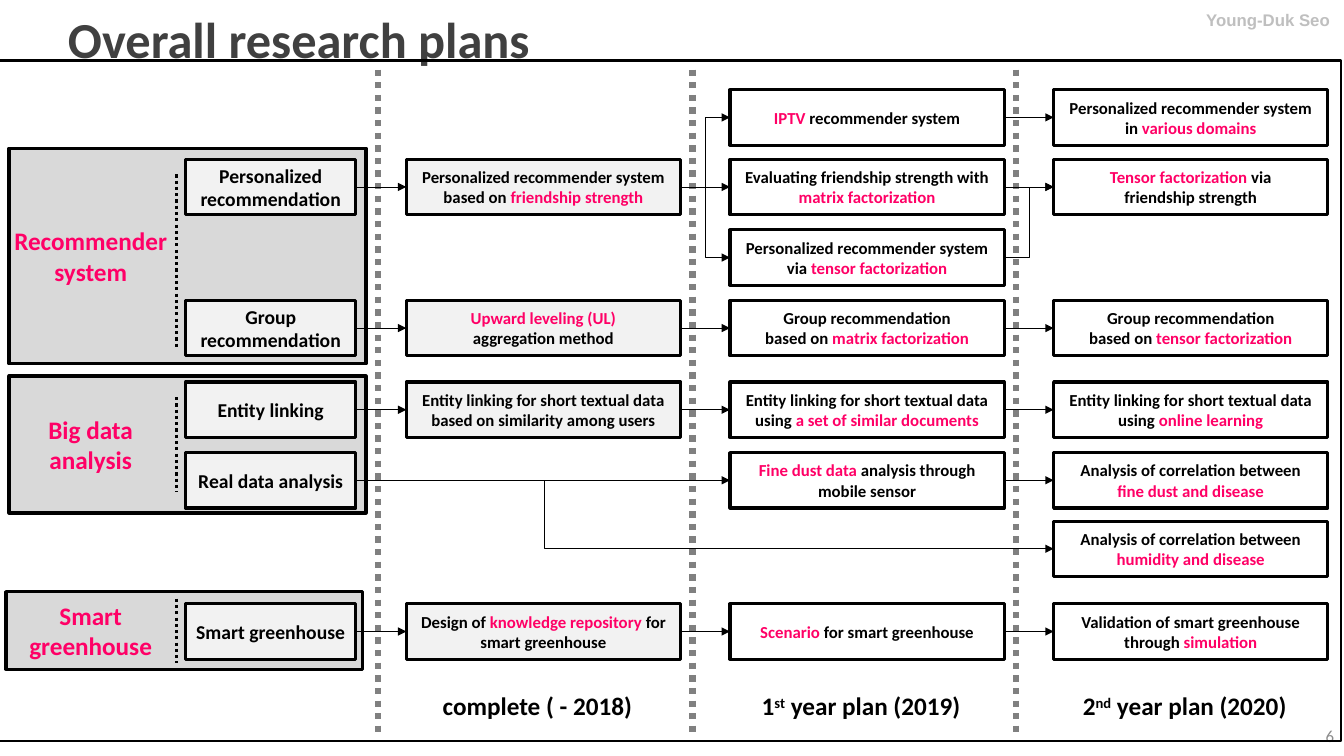
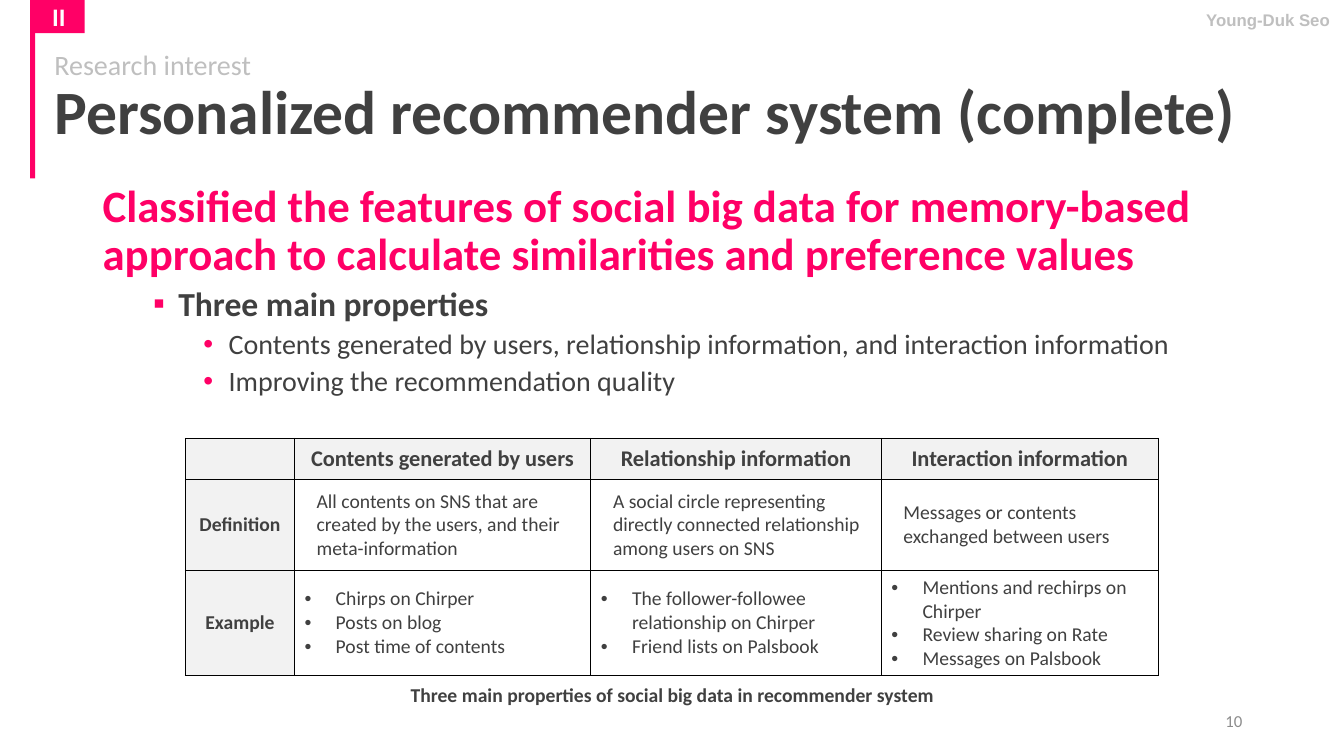
"""Builds two slides of a research plan: the roadmap and one finished topic."""
from itertools import pairwise

from lxml.etree import SubElement
from pptx import Presentation
from pptx.dml.color import RGBColor
from pptx.enum.dml import MSO_LINE
from pptx.enum.shapes import MSO_CONNECTOR, MSO_SHAPE
from pptx.enum.text import MSO_ANCHOR, PP_ALIGN
from pptx.oxml import parse_xml
from pptx.oxml.ns import nsdecls, qn
from pptx.util import Inches, Pt

PINK = RGBColor(0xFF, 0x00, 0x66)
BLACK = RGBColor(0x00, 0x00, 0x00)
WHITE = RGBColor(0xFF, 0xFF, 0xFF)
DARK = RGBColor(0x40, 0x40, 0x40)
MID = RGBColor(0x80, 0x80, 0x80)
NUMBER_GRAY = RGBColor(0x8C, 0x8C, 0x8C)
SILVER = RGBColor(0xBF, 0xBF, 0xBF)
PANEL_GRAY = RGBColor(0xD9, 0xD9, 0xD9)
PALE = RGBColor(0xF2, 0xF2, 0xF2)

AUTHOR = "Young-Duk Seo"
BOX_HEIGHT = 0.55
COLUMNS = [(1.84, 1.69, 14, PALE), (4.03, 2.72, 12, PALE), (7.24, 2.72, 12, WHITE), (10.45, 2.72, 12, WHITE)]
YEARS = ["complete ( - 2018)", "1^st^ year plan (2019)", "2^nd^ year plan (2020)"]
DIVIDERS = [3.75, 6.87, 10.08]
PANELS = [
    ("Recommender\nsystem", 0.09, 1.47, 2.14, 1.73, 3.46),
    ("Big data\nanalysis", 0.09, 3.73, 1.36, 3.94, 4.88),
    ("Smart\ngreenhouse", 0.06, 5.87, 0.77, 5.94, 6.58),
]
ROADMAP = {
    "iptv": (0.89, {
        2: "*IPTV* recommender system",
        3: "Personalized recommender system in *various domains*",
    }),
    "friendship": (1.58, {
        0: "Personalized recommendation",
        1: "Personalized recommender system based on *friendship strength*",
        2: "Evaluating friendship strength with\n*matrix factorization*",
        3: "*Tensor factorization* via\nfriendship strength",
    }),
    "tensor": (2.28, {2: "Personalized recommender system via *tensor factorization*"}),
    "group": (2.98, {
        0: "Group recommendation",
        1: "*Upward leveling (UL)*\naggregation method",
        2: "Group recommendation\nbased on *matrix factorization*",
        3: "Group recommendation\nbased on *tensor factorization*",
    }),
    "entity": (3.79, {
        0: "Entity linking",
        1: "Entity linking for short textual data based on similarity among users",
        2: "Entity linking for short textual data using *a set of similar documents*",
        3: "Entity linking for short textual data using *online learning*",
    }),
    "dust": (4.49, {
        0: "Real data analysis",
        2: "*Fine dust data* analysis through mobile sensor",
        3: "Analysis of correlation between\n*fine dust and disease*",
    }),
    "humidity": (5.17, {3: "Analysis of correlation between\n*humidity and disease*"}),
    "greenhouse": (5.99, {
        0: "Smart greenhouse",
        1: "Design of *knowledge repository* for smart greenhouse",
        2: "*Scenario* for smart greenhouse",
        3: "Validation of smart greenhouse through *simulation*",
    }),
}
BRANCHES = [
    (("friendship", 1), ("iptv", 2), 0.5),
    (("friendship", 1), ("tensor", 2), 0.5),
    (("tensor", 2), ("friendship", 3), 0.5),
    (("dust", 0), ("humidity", 3), 0.27),
]

BODY = [
    ("Classified the features of social big data for memory-based approach to calculate "
     "similarities and preference values", 32, PINK, True, None, 0, 0),
    ("Three main properties", 24, DARK, True, "▪", 0.75, 5),
    ("Contents generated by users, relationship information, and interaction information",
     20, DARK, False, "•", 1.25, 5),
    ("Improving the recommendation quality", 20, DARK, False, "•", 1.25, 5),
]
TABLE_WIDTHS = [1.08, 2.94, 2.88, 2.75]
TABLE_HEIGHTS = [0.41, 0.9, 1.04]
TABLE = [
    ["", "Contents generated by users", "Relationship information", "Interaction information"],
    ["Definition",
     "All contents on SNS that are created by the users, and their meta-information",
     "A social circle representing directly connected relationship among users on SNS",
     "Messages or contents exchanged between users"],
    ["Example",
     ["Chirps on Chirper", "Posts on blog", "Post time of contents"],
     ["The follower-followee relationship on Chirper", "Friend lists on Palsbook"],
     ["Mentions and rechirps on Chirper", "Review sharing on Rate", "Messages on Palsbook"]],
]
CAPTION = "Three main properties of social big data in recommender system"


def style(paragraph, size, color, bold=True, align=PP_ALIGN.LEFT, name="Calibri"):
    paragraph.alignment = align
    font = paragraph.font
    font.size, font.bold, font.name = Pt(size), bold, name
    font.color.rgb = color


def write(paragraph, text, mark="*"):
    for part_index, part in enumerate(text.split(mark)):
        for line_index, line in enumerate(part.split("\n")):
            if line_index:
                paragraph.add_line_break()
            if line:
                span = paragraph.add_run()
                span.text = line
                if part_index % 2 and mark == "*":
                    span.font.color.rgb = PINK
                elif part_index % 2:
                    span._r.get_or_add_rPr().set("baseline", "30000")


def add_bullet(paragraph, symbol, left, hanging, color):
    properties = paragraph._p.get_or_add_pPr()
    properties.set("marL", str(Inches(left)))
    properties.set("indent", str(-Inches(hanging)))
    bullet_color = SubElement(properties, qn("a:buClr"))
    SubElement(bullet_color, qn("a:srgbClr")).set("val", str(color))
    SubElement(properties, qn("a:buFont")).set("typeface", "Arial")
    SubElement(properties, qn("a:buChar")).set("char", symbol)


def add_text(page, place, text, size, color, mark="*", anchor=MSO_ANCHOR.TOP, **options):
    box = page.shapes.add_textbox(*map(Inches, place))
    box.text_frame.word_wrap = True
    box.text_frame.vertical_anchor = anchor
    paragraph = box.text_frame.paragraphs[0]
    write(paragraph, text, mark)
    style(paragraph, size, color, **options)
    return box


def add_box(page, place, fill=None, border=None, text="", size=12, color=BLACK):
    box = page.shapes.add_shape(MSO_SHAPE.RECTANGLE, *map(Inches, place))
    box.shadow.inherit = False
    if fill is None:
        box.fill.background()
    else:
        box.fill.solid()
        box.fill.fore_color.rgb = fill
    if border is None:
        box.line.fill.background()
    else:
        box.line.color.rgb = BLACK
        box.line.width = Pt(border)
    if text:
        box.text_frame.vertical_anchor = MSO_ANCHOR.MIDDLE
        paragraph = box.text_frame.paragraphs[0]
        write(paragraph, text)
        style(paragraph, size, color, align=PP_ALIGN.CENTER)
    return box


def add_line(page, kind, ends, color, width):
    line = page.shapes.add_connector(kind, *ends)
    line.line.color.rgb = color
    line.line.width = Pt(width)
    SubElement(line._element.spPr, qn("a:effectLst"))
    return line


def add_dots(page, left, top, bottom, color, width):
    ends = map(Inches, (left, top, left, bottom))
    add_line(page, MSO_CONNECTOR.STRAIGHT, ends, color, width).line.dash_style = MSO_LINE.ROUND_DOT


def add_arrow(page, source, target, bend=None):
    kind = MSO_CONNECTOR.STRAIGHT if bend is None else MSO_CONNECTOR.ELBOW
    ends = (source.left + source.width, source.top + source.height // 2,
            target.left, target.top + target.height // 2)
    arrow = add_line(page, kind, ends, BLACK, 0.5)
    arrow.begin_connect(source, 3)
    arrow.end_connect(target, 1)
    SubElement(arrow.line._get_or_add_ln(), qn("a:tailEnd")).set("type", "triangle")
    if bend is not None:
        guide = SubElement(arrow._element.spPr.find(qn("a:prstGeom")).get_or_add_avLst(), qn("a:gd"))
        guide.set("name", "adj1")
        guide.set("fmla", f"val {round(bend * 100000)}")


def add_page(deck, number, number_left, number_top):
    page = deck.slides.add_slide(deck.slide_layouts[6])
    add_text(page, (11.55, 0.05, 1.74, 0.3), AUTHOR, 12, SILVER, align=PP_ALIGN.RIGHT, name="Arial")
    add_text(page, (number_left, number_top, 3, 0.4), number, 12, NUMBER_GRAY,
             anchor=MSO_ANCHOR.MIDDLE, bold=False, align=PP_ALIGN.RIGHT)
    return page


def build_roadmap(deck):
    page = add_page(deck, "6", 10.33, 7.1)
    for label, left, top, height, dots_top, dots_bottom in PANELS:
        add_box(page, (left, top, 3.54, height), PANEL_GRAY, 2.25)
        add_text(page, (0, top + height / 2 - 0.35, 1.8, 0.71), label, 18, PINK, align=PP_ALIGN.CENTER)
        add_dots(page, 1.75, dots_top, dots_bottom, BLACK, 2.25)
    for left in DIVIDERS:
        add_dots(page, left, 0.69, 7.27, MID, 4.5)
    boxes = {}
    for row, (top, texts) in ROADMAP.items():
        for column, text in texts.items():
            left, width, size, fill = COLUMNS[column]
            boxes[row, column] = add_box(page, (left, top, width, BOX_HEIGHT), fill, 2.25, text, size)
        for source, target in pairwise(texts):
            add_arrow(page, boxes[row, source], boxes[row, target])
    for source, target, bend in BRANCHES:
        add_arrow(page, boxes[source], boxes[target], bend)
    for (left, width, *_), year in zip(COLUMNS[1:], YEARS):
        add_text(page, (left - 0.06, 6.8, width, 0.4), year, 18, BLACK, mark="^", align=PP_ALIGN.CENTER)
    title = add_text(page, (0.24, 0.05, 5.45, 0.74), "Overall research plans", 36, DARK,
                     anchor=MSO_ANCHOR.MIDDLE, align=PP_ALIGN.CENTER)
    title.text_frame.paragraphs[0].line_spacing = 0.9
    add_box(page, (-0.03, 0.6, 13.33, 6.75), border=1.5)


def fill_cell(cell, content, row, column):
    heading = row == 0 or column == 0
    cell.vertical_anchor = MSO_ANCHOR.MIDDLE
    if heading:
        cell.fill.solid()
        cell.fill.fore_color.rgb = PALE
    else:
        cell.fill.background()
    for index, side in enumerate(("lnL", "lnR", "lnT", "lnB")):
        border = parse_xml(f'<a:{side} {nsdecls("a")} w="12700"><a:solidFill>'
                           f'<a:srgbClr val="{BLACK}"/></a:solidFill></a:{side}>')
        cell._tc.get_or_add_tcPr().insert(index, border)
    items = content if isinstance(content, list) else [content]
    for index, item in enumerate(items):
        paragraph = cell.text_frame.add_paragraph() if index else cell.text_frame.paragraphs[0]
        write(paragraph, item)
        if isinstance(content, list):
            add_bullet(paragraph, "•", 0.31, 0.31, DARK)
        elif not heading:
            paragraph._p.get_or_add_pPr().set("marL", str(Inches(0.12)))
        style(paragraph, 14 if row else 16, DARK, heading, PP_ALIGN.CENTER if heading else PP_ALIGN.LEFT)


def build_topic(deck):
    page = add_page(deck, "10", 9.42, 6.95)
    title = add_text(page, (0.44, 0.33, 12.85, 1.32), "Research interest", 20, SILVER,
                     anchor=MSO_ANCHOR.MIDDLE, bold=False)
    headline = title.text_frame.add_paragraph()
    write(headline, "Personalized recommender system (complete)")
    style(headline, 44, DARK)
    for paragraph in title.text_frame.paragraphs:
        paragraph.line_spacing = 0.9
    add_box(page, (0.33, 0, 0.51, 0.33), PINK, text="II", size=18, color=WHITE)
    add_box(page, (0.3, 0, 0.05, 1.77), PINK)

    body = page.shapes.add_textbox(*map(Inches, (0.92, 1.77, 11.5, 2.33))).text_frame
    body.word_wrap = True
    for index, (text, size, color, bold, symbol, left, before) in enumerate(BODY):
        paragraph = body.add_paragraph() if index else body.paragraphs[0]
        write(paragraph, text)
        if symbol:
            add_bullet(paragraph, symbol, left, 0.25, PINK)
            paragraph.space_before = Pt(before)
        paragraph.line_spacing = 0.9
        style(paragraph, size, color, bold)

    place = (1.84, 4.35, sum(TABLE_WIDTHS), sum(TABLE_HEIGHTS))
    table = page.shapes.add_table(len(TABLE), len(TABLE_WIDTHS), *map(Inches, place)).table
    table.first_row = table.horz_banding = False
    for column, width in zip(table.columns, TABLE_WIDTHS):
        column.width = Inches(width)
    for row, (height, contents) in enumerate(zip(TABLE_HEIGHTS, TABLE)):
        table.rows[row].height = Inches(height)
        for column, content in enumerate(contents):
            fill_cell(table.cell(row, column), content, row, column)
    add_text(page, (3.81, 6.73, 5.72, 0.34), CAPTION, 14, DARK, align=PP_ALIGN.CENTER)


def main():
    deck = Presentation()
    deck.slide_width, deck.slide_height = Inches(13.33), Inches(7.5)
    build_roadmap(deck)
    build_topic(deck)
    deck.save("out.pptx")


if __name__ == "__main__":
    main()
